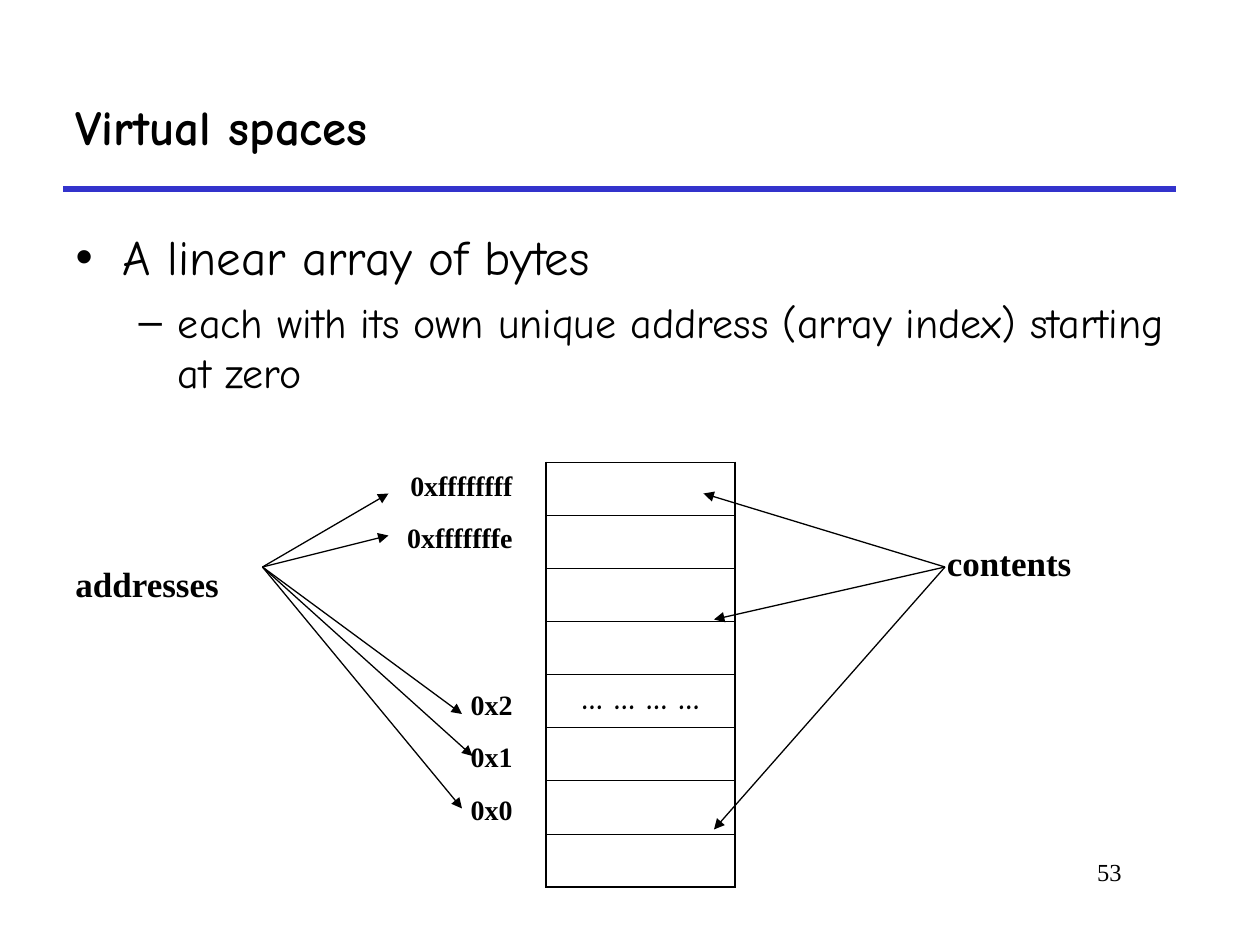
from typing import NamedTuple

from lxml.etree import SubElement
from pptx import Presentation
from pptx.dml.color import RGBColor
from pptx.enum.shapes import MSO_CONNECTOR
from pptx.enum.text import MSO_ANCHOR, MSO_AUTO_SIZE, PP_ALIGN
from pptx.oxml.ns import qn
from pptx.util import Inches, Pt

BLACK = RGBColor(0x00, 0x00, 0x00)
BLUE = RGBColor(0x33, 0x33, 0xCC)
COMIC, TIMES = "Comic Neue", "Times New Roman"
COLS, ROWS = 120, 90  # slide grid, twelve units to the inch

prs = Presentation()
prs.slide_width, prs.slide_height = Inches(10), Inches(7.5)


class Point(NamedTuple):
    col: float
    row: float


class Box(NamedTuple):
    col: float
    row: float
    cols: float
    rows: float


class Label(NamedTuple):
    text: str
    box: Box
    size: float
    bold: bool = True
    align: PP_ALIGN = PP_ALIGN.LEFT


class Fan(NamedTuple):
    start: Point
    ends: list[Point]


def x(cols: float) -> int:
    return round(prs.slide_width * cols / COLS)


def y(rows: float) -> int:
    return round(prs.slide_height * rows / ROWS)


def place(box: Box) -> tuple[int, int, int, int]:
    return x(box.col), y(box.row), x(box.cols), y(box.rows)


def write(p, text: str, *, size: float, font: str = TIMES, bold: bool = False,
          align: PP_ALIGN = PP_ALIGN.LEFT, before: float = 0) -> None:
    p.alignment, p.space_before = align, Pt(before)
    r = p.add_run()
    r.text = text
    r.font.name, r.font.size, r.font.bold = font, Pt(size), bold
    r.font.color.rgb = BLACK


def add_box(s, box: Box):
    tf = s.shapes.add_textbox(*place(box)).text_frame
    tf.word_wrap, tf.auto_size = True, MSO_AUTO_SIZE.SHAPE_TO_FIT_TEXT
    return tf


def add_line(s, start: Point, end: Point, color: RGBColor, width: float,
             arrow: bool = False) -> None:
    line = s.shapes.add_connector(MSO_CONNECTOR.STRAIGHT, x(start.col), y(start.row),
                                  x(end.col), y(end.row))
    line.line.color.rgb, line.line.width = color, Pt(width)
    if arrow:
        SubElement(line.line._get_or_add_ln(), qn("a:tailEnd"), type="triangle")
    SubElement(line._element.spPr, qn("a:effectLst"))


def add_borders(cell, **widths: float) -> None:
    tcPr = cell._tc.get_or_add_tcPr()
    for side, width in widths.items():
        ln = SubElement(tcPr, qn(f"a:ln{side}"), w=str(Pt(width)))
        fill = SubElement(ln, qn("a:solidFill"))
        SubElement(fill, qn("a:srgbClr"), val=str(BLACK))


s = prs.slides.add_slide(prs.slide_layouts[1])

# Title and rule
title, body = s.placeholders
title.left, title.top, title.width, title.height = place(Box(6, 6, 106, 12))
title.text_frame.vertical_anchor = MSO_ANCHOR.MIDDLE
write(title.text_frame.paragraphs[0], "Virtual spaces", size=28, font=COMIC, bold=True)
add_line(s, Point(6, 18), Point(112, 18), BLUE, 3)

# Bullets
body.left, body.top, body.width, body.height = place(Box(6, 21, 109, 58))
tf = body.text_frame
tf.auto_size = MSO_AUTO_SIZE.NONE
write(tf.paragraphs[0], "A linear array of bytes", size=28, font=COMIC)
p = tf.add_paragraph()
p.level = 1
write(p, "each with its own unique address (array index) starting at zero",
      size=24, font=COMIC, before=6)

# Memory cells
CELLS, DOTS_ROW, CELL_ROWS = 8, 4, 5.06
frame = s.shapes.add_table(CELLS, 1, *place(Box(52, 44, 18, CELLS * CELL_ROWS)))
table = frame.table
table.first_row = table.horz_banding = False
for i in range(CELLS):
    table.rows[i].height = y(CELL_ROWS)
    cell = table.cell(i, 0)
    add_borders(cell, L=1.08, R=1.08, T=0.45, B=1.08 if i == CELLS - 1 else 0.45)
    cell.fill.background()
write(table.cell(DOTS_ROW, 0).text_frame.paragraphs[0], "… … … …", size=18,
      font=COMIC, bold=True, align=PP_ALIGN.CENTER)

# Address column, with a wide gap between the high and low ends
tf = add_box(s, Box(37, 44, 13, 34.8))
STEP, GAP = 10.7, 76.4
for i, (address, before) in enumerate([("0xffffffff", 0), ("0xfffffffe", STEP),
                                       ("0x2", GAP), ("0x1", STEP), ("0x0", STEP)]):
    p = tf.add_paragraph() if i else tf.paragraphs[0]
    write(p, address, size=16, bold=True, align=PP_ALIGN.RIGHT, before=before)

# Captions and slide number
for label in [Label("addresses", Box(6, 53, 19, 5.25), 20),
              Label("contents", Box(89, 51, 23, 5.25), 20),
              Label("53", Box(91, 81, 17, 6), 14, False, PP_ALIGN.RIGHT)]:
    write(add_box(s, label.box).paragraphs[0], label.text, size=label.size,
          bold=label.bold, align=label.align)

# Arrows from each caption
for fan in [Fan(Point(25, 54), [Point(37, 47), Point(37, 51), Point(44, 68),
                                Point(45, 72), Point(44, 77)]),
            Fan(Point(90, 54), [Point(67, 47), Point(68, 59), Point(68, 79)])]:
    for end in fan.ends:
        add_line(s, fan.start, end, BLACK, 0.75, arrow=True)

prs.save("out.pptx")
